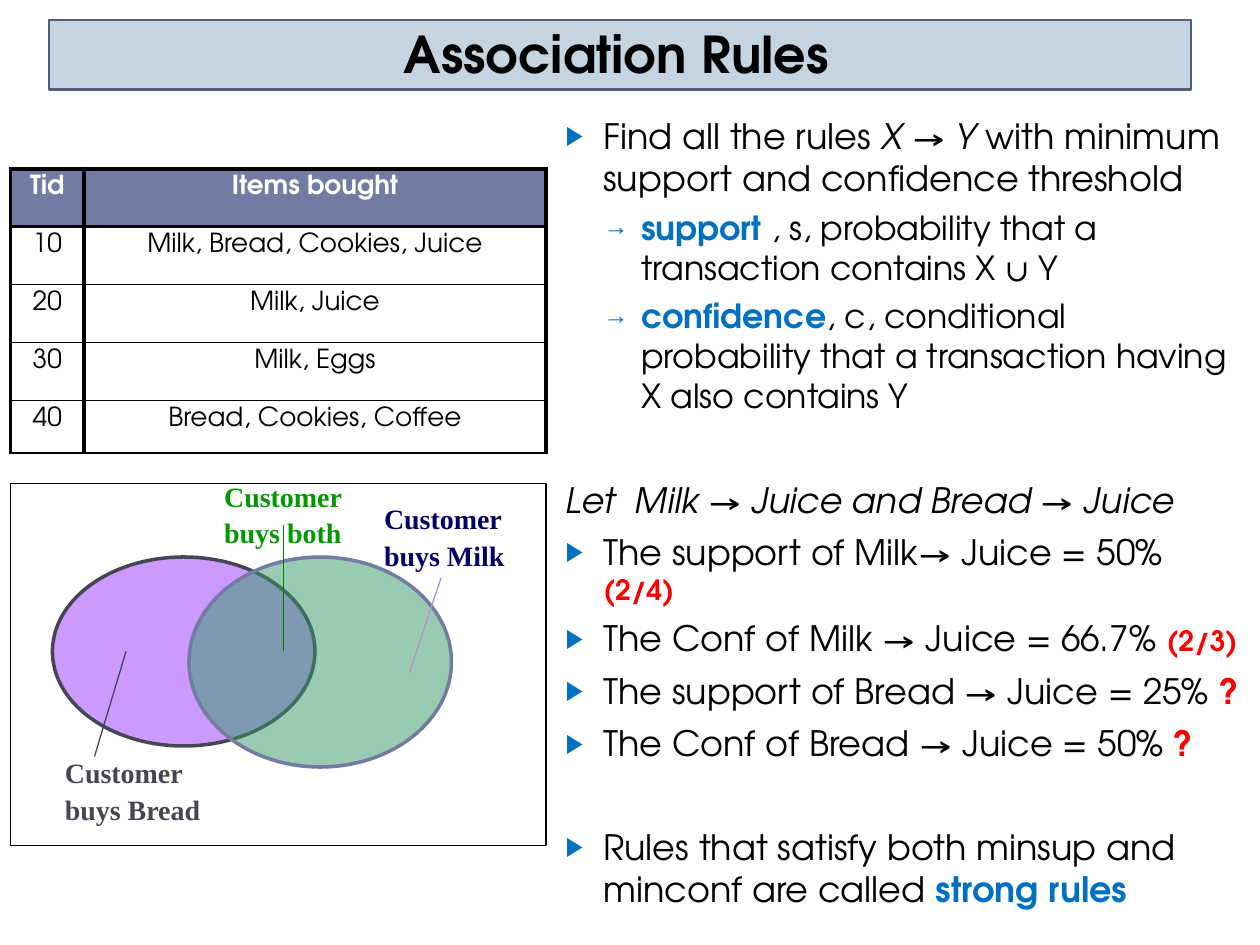
from lxml import etree
from pptx import Presentation
from pptx.dml.color import RGBColor
from pptx.enum import shapes, text
from pptx.oxml import ns
from pptx.util import Pt

SANS, SERIF = "TeX Gyre Adventor", "Times New Roman"
BLACK = RGBColor(0x00, 0x00, 0x00)
WHITE = RGBColor(0xFF, 0xFF, 0xFF)
BAR_FILL = RGBColor(0xC5, 0xD4, 0xE1)
BAR_EDGE = RGBColor(0x54, 0x5C, 0x79)
SLATE = RGBColor(0x72, 0x7C, 0xA3)
BLUE = RGBColor(0x00, 0x70, 0xC0)
RED = RGBColor(0xFF, 0x00, 0x00)
GREY = RGBColor(0x46, 0x46, 0x53)
PURPLE = RGBColor(0xCC, 0x99, 0xFF)
LILAC = RGBColor(0xB2, 0x92, 0xCA)
GREEN = RGBColor(0x33, 0x99, 0x66)
DARK_GREEN = RGBColor(0x00, 0x80, 0x00)
LABEL_GREEN = RGBColor(0x00, 0x99, 0x00)
NAVY = RGBColor(0x00, 0x00, 0x66)

# Run styles: size change, colour, bold, italic
PLAIN = (0, BLACK, False, False)
ITALIC = (0, BLACK, False, True)
TERM = (0, BLUE, True, False)
ASIDE = (-4, RED, True, False)
QUERY = (0, RED, True, False)

# Level, space before, bullet, runs
RULES = [
    (0, 0, "▶", [("Find all the rules ", PLAIN), ("X ", ITALIC), ("→ ", PLAIN), ("Y ", ITALIC),
                 ("with minimum support and confidence threshold", PLAIN)]),
    (1, 5, "→", [("support ", TERM), (", s, probability that a transaction contains X ∪ Y", PLAIN)]),
    (1, 5, "→", [("confidence", TERM),
                 (", c, conditional probability that a transaction having X also contains Y", PLAIN)]),
    (0, 36, None, [("Let  Milk → Juice and Bread → Juice", ITALIC)]),
    (0, 6, "▶", [("The support of Milk→ Juice = 50% ", PLAIN), ("(2/4)", ASIDE)]),
    (0, 6, "▶", [("The Conf of Milk → Juice = 66.7% ", PLAIN), ("(2/3)", ASIDE)]),
    (0, 6, "▶", [("The support of Bread → Juice = 25% ", PLAIN), ("?", QUERY)]),
    (0, 6, "▶", [("The Conf of Bread → Juice = 50% ", PLAIN), ("?", QUERY)]),
    (0, 35, "▶", [("Rules that satisfy both minsup and minconf are called ", PLAIN),
                  ("strong rules", TERM)]),
]
TRANSACTIONS = [
    ("Tid", "Items bought"),
    ("10", "Milk, Bread, Cookies, Juice"),
    ("20", "Milk, Juice"),
    ("30", "Milk, Eggs"),
    ("40", "Bread, Cookies, Coffee"),
]


def child(parent, tag, **attributes):
    return etree.SubElement(parent, ns.qn(tag), attributes)


def style(run, font, size, colour, bold=False, italic=False):
    run.font.name, run.font.size = font, Pt(size)
    run.font.bold, run.font.italic = bold, italic
    run.font.color.rgb = colour


def place(shape, box):
    shape.left, shape.top, shape.width, shape.height = map(Pt, box)


def add_outline(slide, kind, box, fill, edge, weight):
    shape = slide.shapes.add_shape(kind, *map(Pt, box))
    shape.shadow.inherit = False
    if fill is None:
        shape.fill.background()
    else:
        shape.fill.solid()
        shape.fill.fore_color.rgb = fill
    shape.line.color.rgb = edge
    shape.line.width = Pt(weight)
    return shape


def add_title(slide, box):
    left, top, width, height = box
    title = slide.shapes.title
    bar = add_outline(slide, shapes.MSO_SHAPE.RECTANGLE, box, BAR_FILL, BAR_EDGE, 1.5)
    title._element.addprevious(bar._element)
    place(title, (left, top + 0.5, width - 4, height))
    frame = title.text_frame
    frame.text = "Association Rules"
    frame.auto_size = text.MSO_AUTO_SIZE.NONE
    frame.vertical_anchor = text.MSO_ANCHOR.BOTTOM
    frame.paragraphs[0].alignment = text.PP_ALIGN.CENTER
    style(frame.paragraphs[0].runs[0], SANS, 29, BLACK, True)


def set_bullet(paragraph, level, bullet):
    properties = paragraph._p.get_or_add_pPr()
    properties.set("marL", str(Pt(21.6 * (level + 1))))
    properties.set("indent", str(Pt(-21.6)))
    if bullet is None:
        child(properties, "a:buNone")
        return
    child(child(properties, "a:buClr"), "a:srgbClr", val=str(BLUE))
    child(properties, "a:buSzPct", val="76000")
    child(properties, "a:buChar", char=bullet)


def add_rules(slide, box):
    body = slide.placeholders[1]
    place(body, box)
    frame = body.text_frame
    frame.auto_size = text.MSO_AUTO_SIZE.NONE
    for index, (level, gap, bullet, pieces) in enumerate(RULES):
        paragraph = frame.add_paragraph() if index else frame.paragraphs[0]
        paragraph.level = level
        paragraph.space_before = Pt(gap)
        set_bullet(paragraph, level, bullet)
        for words, (change, colour, bold, italic) in pieces:
            run = paragraph.add_run()
            run.text = words
            style(run, SANS, 20 - level + change, colour, bold, italic)


def set_borders(cell, top, bottom):
    properties = cell._tc.get_or_add_tcPr()
    weights = {"a:lnL": 2.25, "a:lnR": 2.25, "a:lnT": top, "a:lnB": bottom}
    for tag, weight in weights.items():
        edge = child(properties, tag, w=str(Pt(weight)))
        child(child(edge, "a:solidFill"), "a:srgbClr", val=str(BLACK))


def add_transactions(slide, box):
    count = len(TRANSACTIONS)
    table = slide.shapes.add_table(count, 2, *map(Pt, box)).table
    tid_width, row_height = 42, 33.1
    table.columns[0].width, table.columns[1].width = Pt(tid_width), Pt(box[2] - tid_width)
    for row, values in enumerate(TRANSACTIONS):
        header = row == 0
        last_height = box[3] - row_height * (count - 1)
        table.rows[row].height = Pt(last_height if row == count - 1 else row_height)
        for column, value in enumerate(values):
            cell = table.cell(row, column)
            cell.text = value
            cell.margin_top = cell.margin_bottom = Pt(3.6)
            cell.vertical_anchor = text.MSO_ANCHOR.TOP
            paragraph = cell.text_frame.paragraphs[0]
            paragraph.alignment = text.PP_ALIGN.CENTER
            style(paragraph.runs[0], SANS, 15, WHITE if header else BLACK, header)
            set_borders(cell, 2.25 if row < 2 else 1, 2.25 if header else 1)
            if header:
                cell.fill.solid()
                cell.fill.fore_color.rgb = SLATE
            else:
                cell.fill.background()


def add_venn(slide, box):
    left, top, width, height = box
    oval = shapes.MSO_SHAPE.OVAL

    # Overlapping sets
    add_outline(slide, oval, (left + 24, top + 42, 150, 108), PURPLE, GREY, 2)
    milk = add_outline(slide, oval, (left + 102, top + 42, 150, 120), GREEN, SLATE, 2)
    tint = milk._element.spPr.find(ns.qn("a:solidFill"))[0]
    child(tint, "a:alpha", val="50000")

    # Pointers
    for x1, y1, x2, y2, colour in [(66, 96, 48, 156, GREY), (228, 108, 246, 54, LILAC),
                                   (156, 96, 156, 24, DARK_GREEN)]:
        pointer = slide.shapes.add_connector(
            shapes.MSO_CONNECTOR.STRAIGHT,
            Pt(left + x1), Pt(top + y1), Pt(left + x2), Pt(top + y2))
        pointer.line.color.rgb = colour
        pointer.line.width = Pt(0.75)
        child(pointer._element.spPr, "a:effectLst")

    # Labels
    for x, y, label_width, item, colour in [(206.4, 5, 96, "Milk", NAVY),
                                            (115, -8, 82, "both", LABEL_GREEN),
                                            (24, 150, 93, "Bread", GREY)]:
        label = slide.shapes.add_textbox(Pt(left + x), Pt(top + y), Pt(label_width), Pt(49.7))
        frame = label.text_frame
        frame.word_wrap = True
        frame.text = f"Customer\nbuys {item}"
        for paragraph in frame.paragraphs:
            paragraph.line_spacing = 1.1
            style(paragraph.runs[0], SERIF, 16, colour, True)

    # Frame
    add_outline(slide, shapes.MSO_SHAPE.RECTANGLE, box, None, BLACK, 0.75)


def main():
    deck = Presentation()
    deck.slide_width, deck.slide_height = Pt(720), Pt(540)
    slide = deck.slides.add_slide(deck.slide_layouts[1])
    add_title(slide, (28, 11.5, 652.5, 39.5))
    add_rules(slide, (316, 61.7, 400, 478.3))
    add_transactions(slide, (6, 96.5, 306, 162.4))
    add_venn(slide, (6, 276.3, 306, 207))
    deck.save("out.pptx")


if __name__ == "__main__":
    main()
